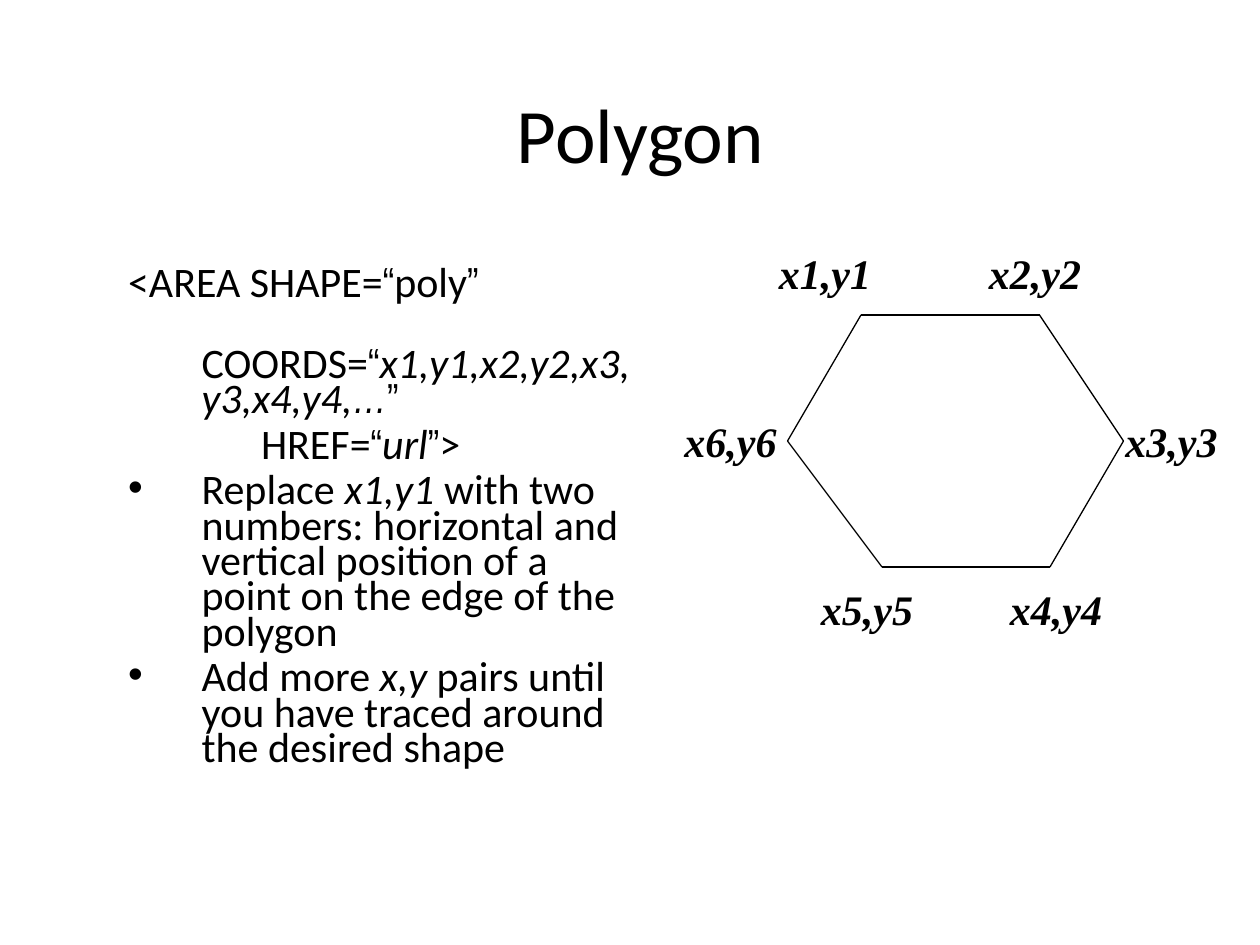
from itertools import groupby

from lxml import etree
from pptx import Presentation
from pptx.dml.color import RGBColor
from pptx.enum.shapes import MSO_CONNECTOR
from pptx.enum.text import MSO_ANCHOR, MSO_AUTO_SIZE, PP_ALIGN
from pptx.oxml.ns import qn
from pptx.util import Pt

PX = 7620  # EMU per px, 120 px to the inch
BLACK = RGBColor(0, 0, 0)
WHITE = RGBColor(255, 255, 255)
STRAIGHT = MSO_CONNECTOR.STRAIGHT
MIDDLE, TOP = MSO_ANCHOR.MIDDLE, MSO_ANCHOR.TOP
CENTER, LEFT = PP_ALIGN.CENTER, PP_ALIGN.LEFT
NO_FIT = MSO_AUTO_SIZE.NONE

BODY_FONT, PUNCT_FONT, LABEL_FONT = "Calibri", "Arial Narrow", "Times New Roman"
PUNCTUATION = "“”…"
HANG = 70
CODE_INDENT = " " * 14

# Each paragraph: bulleted or not, then (text, italic) pieces
BODY = [
    (False, [("<AREA SHAPE=“poly”", False)]),
    (False, [(CODE_INDENT + "COORDS=“", False),
             ("x1,y1,x2,y2,x3,y3,x4,y4,…", True), ("”", False)]),
    (False, [(CODE_INDENT + "HREF=“", False), ("url", True), ("”>", False)]),
    (True, [("Replace ", False), ("x1,y1 ", True),
            ("with two numbers: horizontal and vertical position of a point "
             "on the edge of the polygon", False)]),
    (True, [("Add more ", False), ("x,y", True),
            (" pairs until you have traced around the desired shape", False)]),
]

# Corners and label positions, clockwise, relative to the diagram box
CORNERS = [(180, 70), (350, 70), (430, 190), (360, 310), (200, 310), (110, 190)]
LABELS = [(90, 0), (290, 0), (420, 160), (310, 320), (130, 320), (0, 160)]
LABEL_W, LABEL_H = 140, 60


def emu(*lengths):
    return [n * PX for n in lengths]


def add_text(p, text, font=BODY_FONT, size=24, bold=False, italic=False):
    r = p.add_run()
    r.text = text
    r.font.name = font
    r.font.size = Pt(size)
    r.font.bold = bold
    r.font.italic = italic
    r.font.color.rgb = BLACK


def place(sp, box, anchor):
    sp.left, sp.top, sp.width, sp.height = emu(*box)
    tf = sp.text_frame
    tf.word_wrap = True
    tf.auto_size = NO_FIT
    tf.vertical_anchor = anchor
    return tf


def set_bullet(p, bulleted):
    pPr = p._p.get_or_add_pPr()
    pPr.set("marL", str(HANG * PX))
    pPr.set("indent", str(-HANG * PX))
    if bulleted:
        clr = etree.SubElement(pPr, qn("a:buClr"))
        etree.SubElement(clr, qn("a:srgbClr"), val=str(BLACK))
        etree.SubElement(pPr, qn("a:buChar"), char="•")
    else:
        etree.SubElement(pPr, qn("a:buNone"))


def fill_title(sp, box):
    p = place(sp, box, MIDDLE).paragraphs[0]
    p.alignment = CENTER
    add_text(p, "Polygon", size=44)


def fill_body(sp, box):
    tf = place(sp, box, TOP)
    for i, (bulleted, pieces) in enumerate(BODY):
        p = tf.add_paragraph() if i else tf.paragraphs[0]
        set_bullet(p, bulleted)
        p.alignment = LEFT
        p.line_spacing = 0.7
        p.space_before = Pt(6 if i else 0)
        for text, italic in pieces:
            for punct, chars in groupby(text, lambda c: c in PUNCTUATION):
                add_text(p, "".join(chars), italic=italic,
                         font=PUNCT_FONT if punct else BODY_FONT)


def add_hexagon(s, x, y):
    """Draw the edges and the numbered corner labels as one group."""
    group = s.shapes.add_group_shape()
    for (x1, y1), (x2, y2) in zip(CORNERS, CORNERS[1:] + CORNERS[:1]):
        edge = group.shapes.add_connector(
            STRAIGHT, *emu(x + x1, y + y1, x + x2, y + y2))
        edge.line.color.rgb = BLACK
        edge.line.width = Pt(0.75)
        etree.SubElement(edge._element.spPr, qn("a:effectLst"))
    for n, (dx, dy) in enumerate(LABELS, 1):
        box = (x + dx, y + dy, LABEL_W, LABEL_H)
        tf = place(group.shapes.add_textbox(*emu(*box)), box, TOP)
        add_text(tf.paragraphs[0], f"x{n},y{n}", font=LABEL_FONT,
                 bold=True, italic=True)


def main():
    prs = Presentation()
    prs.slide_width, prs.slide_height = emu(1200, 900)
    s = prs.slides.add_slide(prs.slide_layouts[1])
    s.background.fill.solid()
    s.background.fill.fore_color.rgb = WHITE
    fill_title(s.shapes.title, (60, 32, 1100, 188))
    fill_body(s.placeholders[1], (110, 250, 515, 550))
    add_hexagon(s, 640, 230)
    prs.save("out.pptx")


if __name__ == "__main__":
    main()
